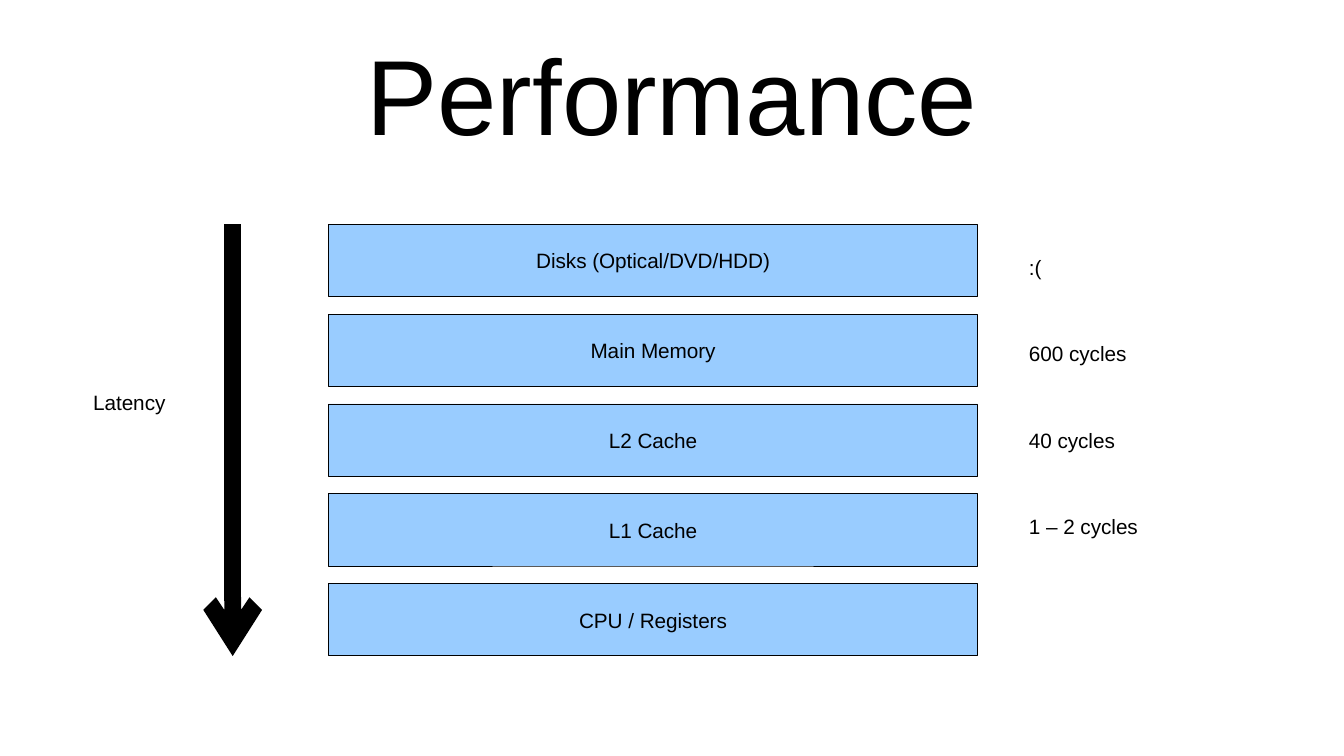
from lxml.etree import SubElement
from pptx import Presentation
from pptx.dml.color import RGBColor
from pptx.enum.shapes import MSO_CONNECTOR, MSO_SHAPE
from pptx.enum.text import MSO_ANCHOR, PP_ALIGN
from pptx.oxml.ns import qn
from pptx.util import Cm, Pt

BLACK = RGBColor(0x00, 0x00, 0x00)
SKY = RGBColor(0x99, 0xCC, 0xFF)
FONT = "Arial"

LEVELS = ["Disks (Optical/DVD/HDD)", "Main Memory", "L2 Cache", "L1 Cache",
          "CPU / Registers"]
COSTS = [":(", "600 cycles", "40 cycles", "1 – 2 cycles"]


def write(shape, text, size=7, align=PP_ALIGN.LEFT, anchor=MSO_ANCHOR.TOP,
          margins=(0.25, 0.13)):
    tf = shape.text_frame
    tf.word_wrap = True
    tf.vertical_anchor = anchor
    tf.margin_left = tf.margin_right = Cm(margins[0])
    tf.margin_top = tf.margin_bottom = Cm(margins[1])
    p = tf.paragraphs[0]
    p.alignment = align
    r = p.add_run()
    r.text = text
    r.font.name = FONT
    r.font.size = Pt(size)
    r.font.color.rgb = BLACK


def add_text(s, text, left, top, width, height, **style):
    box = s.shapes.add_textbox(Cm(left), Cm(top), Cm(width), Cm(height))
    write(box, text, **style)


def add_title(s, left, top, width, height):
    add_text(s, "Performance", left, top, width, height, size=36,
             align=PP_ALIGN.CENTER, anchor=MSO_ANCHOR.MIDDLE, margins=(0, 0))


def add_memory_levels(s, left, top, width, height, gap=0.21):
    """Stack one bar per memory level, filling the given box."""
    bar_height = (height - gap * (len(LEVELS) - 1)) / len(LEVELS)
    for i, level in enumerate(LEVELS):
        bar = s.shapes.add_shape(
            MSO_SHAPE.RECTANGLE, Cm(left), Cm(top + i * (bar_height + gap)),
            Cm(width), Cm(bar_height))
        bar.shadow.inherit = False
        bar.fill.solid()
        bar.fill.fore_color.rgb = SKY
        bar.line.color.rgb = BLACK
        bar.line.width = Pt(0.25)
        write(bar, level, align=PP_ALIGN.CENTER, anchor=MSO_ANCHOR.MIDDLE)


def add_latency_arrow(s, left, top, width, height):
    """Place the label left of a downward arrow on the box's right edge."""
    x = Cm(left + width)
    arrow = s.shapes.add_connector(
        MSO_CONNECTOR.STRAIGHT, x, Cm(top), x, Cm(top + height))
    arrow.line.color.rgb = BLACK
    arrow.line.width = Pt(5.67)
    spPr = arrow._element.spPr
    SubElement(spPr.find(qn("a:ln")), qn("a:tailEnd"), type="arrow")
    SubElement(spPr, qn("a:effectLst"))
    add_text(s, "Latency", left, top + 1.84, width - 0.18, 0.56)


def add_costs(s, left, top, width, pitch=1.03):
    for i, cost in enumerate(COSTS):
        add_text(s, cost, left, top + i * pitch, width, 0.56)


def main():
    prs = Presentation()
    prs.slide_width, prs.slide_height = Cm(16), Cm(9)
    s = prs.slides.add_slide(prs.slide_layouts[6])
    add_title(s, 0.8, 0.35, 14.4, 1.52)
    add_memory_levels(s, 3.91, 2.67, 7.73, 5.14)
    add_latency_arrow(s, 0.86, 2.67, 1.91, 5.14)
    add_costs(s, 12, 2.9, 3.48)
    prs.save("out.pptx")


if __name__ == "__main__":
    main()
